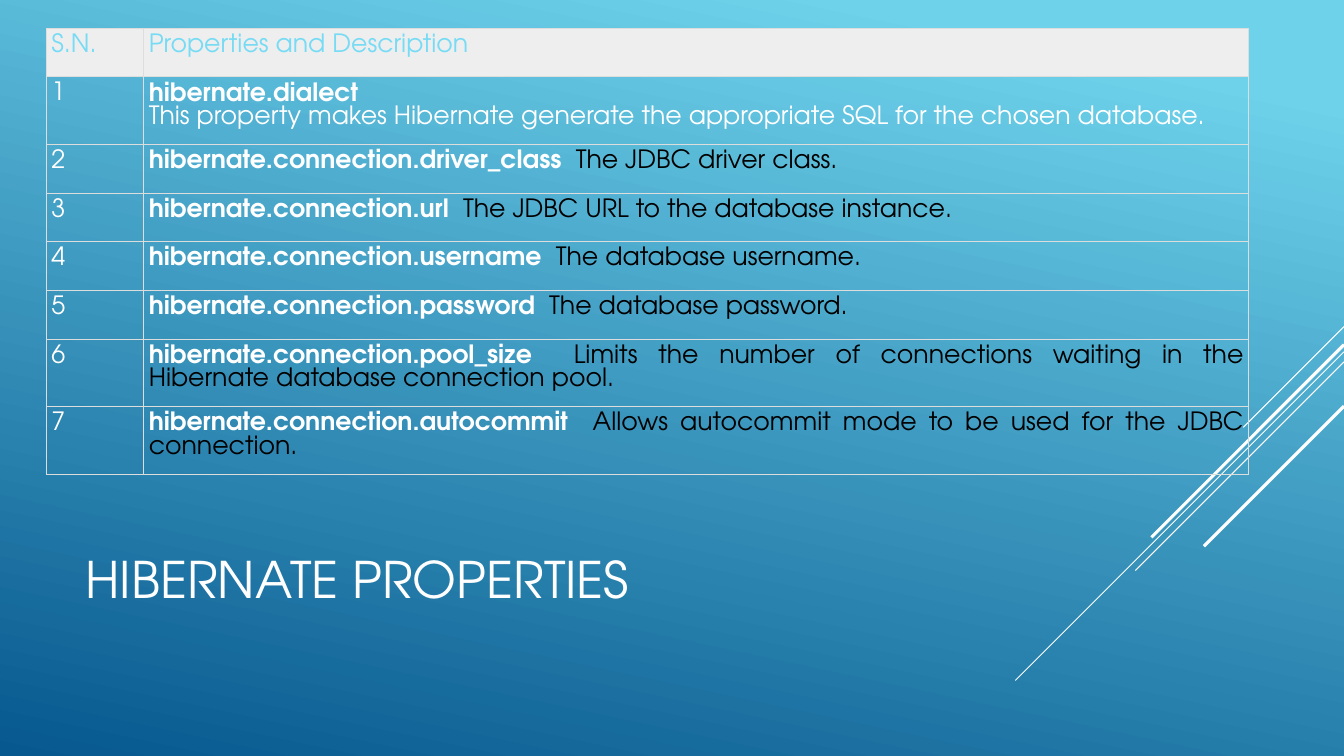
from lxml import etree
from pptx import Presentation
from pptx.dml.color import RGBColor
from pptx.enum.shapes import MSO_CONNECTOR
from pptx.enum.text import MSO_ANCHOR, PP_ALIGN
from pptx.oxml.ns import qn
from pptx.util import Inches, Pt

STRAIGHT = MSO_CONNECTOR.STRAIGHT
MIDDLE = MSO_ANCHOR.MIDDLE
LEFT, JUSTIFY = PP_ALIGN.LEFT, PP_ALIGN.JUSTIFY

COLUMNS, ROWS = 40, 22.5
WHITE, BLACK, SKY, PALE, BORDER = "FFFFFF", "000000", "76DBF4", "EEEEEE", "DDDDDD"

# Diagonal accents: starting row at the right edge, length in cells, width in points
ACCENTS = [
    (9.72, 3, 0.75),
    (10.47, 9.78, 0.75),
    (10.77, 6.21, 0.75),
    (10.26, 5.73, 2.25),
    (12.09, 4.17, 2.25),
]

PROPERTIES = [
    ("connection.driver_class", "The JDBC driver class."),
    ("connection.url", "The JDBC URL to the database instance."),
    ("connection.username", "The database username."),
    ("connection.password", "The database password."),
    ("connection.pool_size",
     "Limits the number of connections waiting in the Hibernate database connection pool."),
    ("connection.autocommit",
     "Allows autocommit mode to be used for the JDBC connection."),
]


def color(value):
    return RGBColor.from_string(value)


class SlideBuilder:
    """Holds the style and the page; lengths are cells of a 40 by 22.5 grid."""

    font_name = "TeX Gyre Adventor"
    body_size = 18
    line_pitch = 17
    cell_inset = Inches(0.05)

    def __init__(self, deck):
        self.page = deck.slides.add_slide(deck.slide_layouts[6])
        self.column = deck.slide_width / COLUMNS
        self.row = deck.slide_height / ROWS

    def across(self, columns):
        return round(columns * self.column)

    def down(self, rows):
        return round(rows * self.row)

    def background(self, stops, angle):
        fill = self.page.background.fill
        fill.gradient()
        fill.gradient_angle = angle
        for stop, (position, value) in zip(fill.gradient_stops, stops):
            stop.position = position
            stop.color.rgb = color(value)

    def diagonal(self, top, length, width):
        line = self.page.shapes.add_connector(
            STRAIGHT, self.across(COLUMNS), self.down(top),
            self.across(COLUMNS - length), self.down(top + length))
        line.line.color.rgb = color(WHITE)
        line.line.width = Pt(width)
        etree.SubElement(line._element.spPr, qn("a:effectLst"))

    def style(self, font, size, value):
        font.name = self.font_name
        font.size = Pt(size)
        font.color.rgb = color(value)

    def title(self, text, left, top, width, height):
        box = self.page.shapes.add_textbox(
            self.across(left), self.down(top), self.across(width), self.down(height))
        frame = box.text_frame
        frame.word_wrap = True
        frame.vertical_anchor = MIDDLE
        para = frame.paragraphs[0]
        para.text = text
        self.style(para.font, 36, WHITE)

    def table(self, left, top, widths, heights):
        frame = self.page.shapes.add_table(
            len(heights), len(widths), self.across(left), self.down(top),
            self.across(sum(widths)), self.down(sum(heights)))
        table = frame.table
        table.first_row = table.horz_banding = False
        for column, width in zip(table.columns, widths):
            column.width = self.across(width)
        for row, height in zip(table.rows, heights):
            row.height = self.down(height)
        return table

    def border(self, cell):
        properties = cell._tc.get_or_add_tcPr()
        for index, side in enumerate(("lnL", "lnR", "lnT", "lnB")):
            edge = etree.Element(qn(f"a:{side}"), w=str(Pt(0.75)))
            fill = etree.SubElement(edge, qn("a:solidFill"))
            etree.SubElement(fill, qn("a:srgbClr"), val=BORDER)
            properties.insert(index, edge)

    def cell(self, cell, spans, value=WHITE, fill=None, align=LEFT, stacked=False):
        """Each span is (text, bold, colour or None for the cell's colour)."""
        cell.margin_left = cell.margin_right = self.cell_inset
        cell.margin_top = cell.margin_bottom = self.cell_inset
        if fill:
            cell.fill.solid()
            cell.fill.fore_color.rgb = color(fill)
        else:
            cell.fill.background()
        self.border(cell)
        para = cell.text_frame.paragraphs[0]
        para.alignment = align
        para.line_spacing = Pt(self.line_pitch)
        self.style(para.font, self.body_size, value)
        for index, (text, bold, tint) in enumerate(spans):
            if stacked and index:
                para.add_line_break()
            span = para.add_run()
            span.text = text
            self.style(span.font, self.body_size, tint or value)
            span.font.bold = bold


def main():
    deck = Presentation()
    deck.slide_width, deck.slide_height = Inches(13.33), Inches(7.5)
    slide = SlideBuilder(deck)

    # Backdrop
    slide.background([(0.1, "6ED2EB"), (1, "06588E")], 360 - 102)
    for accent in ACCENTS:
        slide.diagonal(*accent)

    # Title
    slide.title("HIBERNATE PROPERTIES", 2.25, 14.73, 28, 4.95)

    # Table: short rows hold one line, tall rows hold two
    short, tall = 1.45, 2.01
    table = slide.table(1.38, 0.84, [2.9, 32.89],
                        [short, tall] + [short] * 4 + [tall] * 2)
    for index, heading in enumerate(("S.N.", "Properties and Description")):
        slide.cell(table.cell(0, index), [(heading, False, None)], SKY, PALE)
    for number in range(1, len(table.rows)):
        slide.cell(table.cell(number, 0), [(str(number), False, None)])

    # Property descriptions
    slide.cell(table.cell(1, 1), [
        ("hibernate.dialect", True, None),
        ("This property makes Hibernate generate the appropriate SQL"
         " for the chosen database.", False, None),
    ], stacked=True)
    for number, (name, description) in enumerate(PROPERTIES, start=2):
        slide.cell(table.cell(number, 1), [
            (f"hibernate.{name}  ", True, None),
            (description, False, BLACK),
        ], align=JUSTIFY)

    deck.save("out.pptx")


if __name__ == "__main__":
    main()
